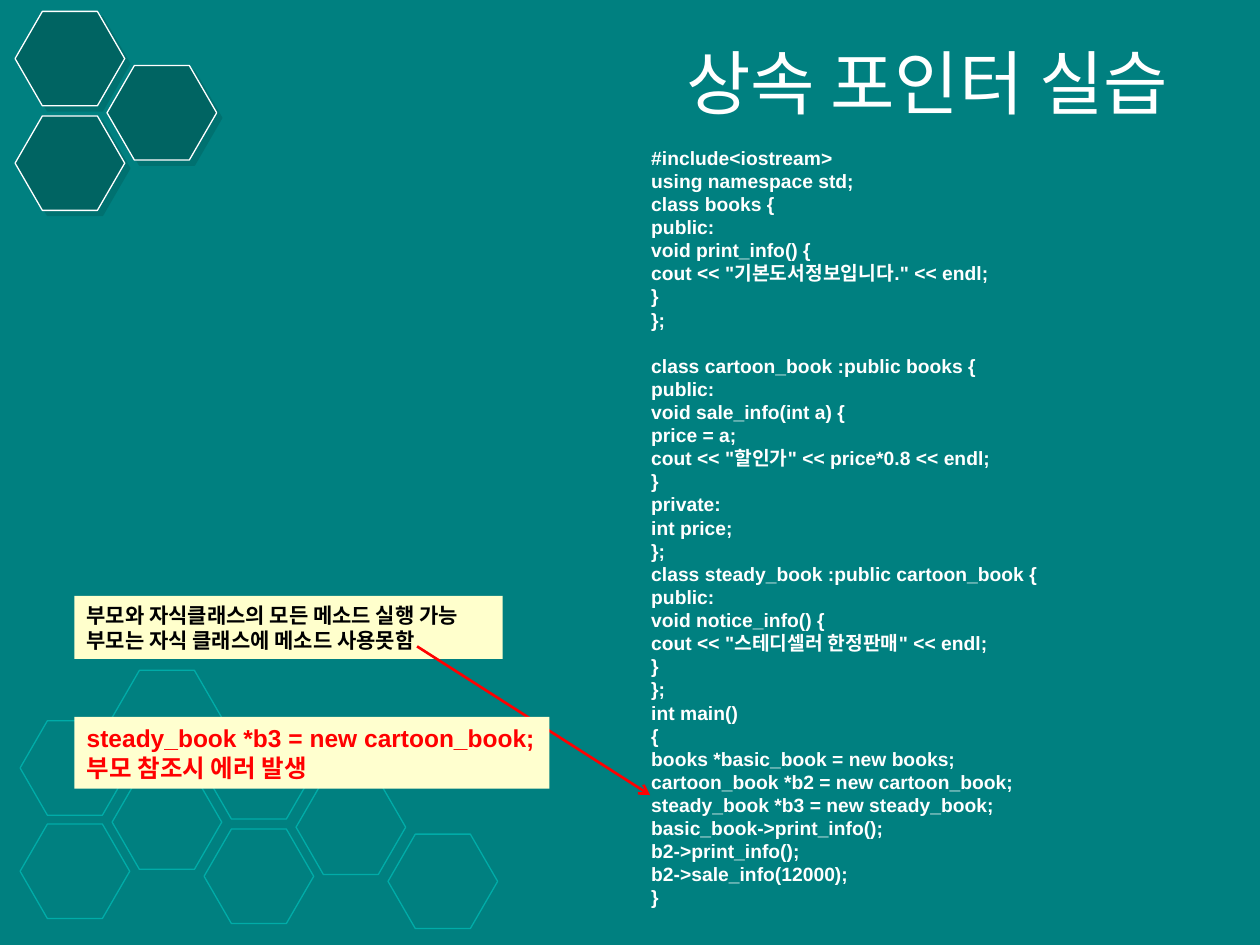
from lxml import etree
from pptx import Presentation
from pptx.dml.color import RGBColor
from pptx.enum.shapes import MSO_CONNECTOR, MSO_SHAPE
from pptx.enum.text import MSO_ANCHOR, MSO_AUTO_SIZE, PP_ALIGN
from pptx.oxml import parse_xml
from pptx.oxml.ns import nsdecls, qn
from pptx.util import Inches, Pt

TEAL = RGBColor(0x00, 0x80, 0x80)
DARK_TEAL = RGBColor(0x00, 0x64, 0x62)
LIGHT_TEAL = RGBColor(0x00, 0xAC, 0xA8)
WHITE = RGBColor(0xFF, 0xFF, 0xFF)
BLACK = RGBColor(0x00, 0x00, 0x00)
RED = RGBColor(0xFF, 0x00, 0x00)
CREAM = RGBColor(0xFF, 0xFF, 0xCC)
PALE_CREAM = RGBColor(0xFF, 0xFF, 0xCF)
FONT = "Arial"
HEX_WIDTH, HEX_HEIGHT, HEX_STEP = 0.87, 0.75, 0.73

CODE = """#include<iostream>
using namespace std;
class books {
public:
void print_info() {
cout << "기본도서정보입니다." << endl;
}
};
class cartoon_book :public books {
public:
void sale_info(int a) {
price = a;
cout << "할인가" << price*0.8 << endl;
}
private:
int price;
};
class steady_book :public cartoon_book {
public:
void notice_info() {
cout << "스테디셀러 한정판매" << endl;
}
};
int main()
{
books *basic_book = new books;
cartoon_book *b2 = new cartoon_book;
steady_book *b3 = new steady_book;
basic_book->print_info();
b2->print_info();
b2->sale_info(12000);
}""".splitlines()


def add_hexagons(left, columns, line_color, fill_color=None):
    """Add columns of hexagons, each column given by the tops of its cells."""
    for column, tops in enumerate(columns):
        for top in tops:
            cell = slide.shapes.add_shape(
                MSO_SHAPE.HEXAGON, Inches(left + column * HEX_STEP), Inches(top),
                Inches(HEX_WIDTH), Inches(HEX_HEIGHT))
            cell.adjustments[0] = 0.289
            cell.shadow.inherit = False
            cell.line.color.rgb = line_color
            cell.line.width = Pt(0.75)
            if fill_color is None:
                cell.fill.background()
                continue
            cell.fill.solid()
            cell.fill.fore_color.rgb = fill_color
            effects = cell._element.spPr.find(qn("a:effectLst"))
            effects.append(parse_xml(
                f'<a:outerShdw {nsdecls("a")} blurRad="0" dist="{Pt(4.2)}" dir="2700000" '
                f'algn="ctr" rotWithShape="0"><a:srgbClr val="{fill_color}">'
                '<a:alpha val="50000"/></a:srgbClr></a:outerShdw>'))


def add_text(box, lines, size, color, fill_color=None):
    """Add a box of bold left-aligned lines and return its paragraphs."""
    shape = slide.shapes.add_textbox(*(Inches(length) for length in box))
    if fill_color is not None:
        shape.fill.solid()
        shape.fill.fore_color.rgb = fill_color
    frame = shape.text_frame
    frame.word_wrap = False
    frame.auto_size = MSO_AUTO_SIZE.NONE
    frame.text = "\n".join(lines)
    for paragraph in frame.paragraphs:
        paragraph.alignment = PP_ALIGN.LEFT
        font = paragraph.font
        font.name, font.size, font.bold = FONT, Pt(size), True
        font.color.rgb = color
    return frame.paragraphs


prs = Presentation()
prs.slide_width, prs.slide_height = Inches(10), Inches(7.5)
slide = prs.slides.add_slide(prs.slide_layouts[5])
slide.background.fill.solid()
slide.background.fill.fore_color.rgb = TEAL

add_hexagons(0.16, [(5.72, 6.54), (5.32, 6.15), (5.75, 6.58), (6.19,), (6.62,)], LIGHT_TEAL)
add_hexagons(0.12, [(0.92, 0.09), (0.52,)], WHITE, DARK_TEAL)

title = slide.shapes.title
title.left, title.top = Inches(1.85), Inches(0.21)
title.width, title.height = Inches(7.52), Inches(0.87)
title.text_frame.text = "상속 포인터 실습"
title.text_frame.vertical_anchor = MSO_ANCHOR.MIDDLE
heading = title.text_frame.paragraphs[0]
heading.alignment = PP_ALIGN.RIGHT
heading.font.name, heading.font.size = FONT, Pt(40)
heading.font.color.rgb = WHITE

code_lines = add_text((5.07, 1.11, 3.29, 6.4), CODE, 11, WHITE)
for paragraph in code_lines:
    paragraph.line_spacing = Pt(13.2)
    if paragraph.text.startswith("class cartoon_book"):
        paragraph.space_before = Pt(13.2)

add_text((0.59, 4.73, 3.4, 0.5),
         ["부모와 자식클래스의 모든 메소드 실행 가능", "부모는 자식 클래스에 메소드 사용못함"],
         12, BLACK, CREAM)

arrow = slide.shapes.add_connector(
    MSO_CONNECTOR.STRAIGHT, Inches(3.31), Inches(5.13), Inches(5.16), Inches(6.31))
arrow.line.color.rgb = RED
arrow.line.width = Pt(1.5)
etree.SubElement(arrow.line._get_or_add_ln(), qn("a:tailEnd"), type="arrow")
etree.SubElement(arrow._element.spPr, qn("a:effectLst"))

add_text((0.59, 5.69, 3.77, 0.57),
         ["steady_book *b3 = new cartoon_book;", "부모 참조시 에러 발생"],
         14, RED, PALE_CREAM)

prs.save("out.pptx")
